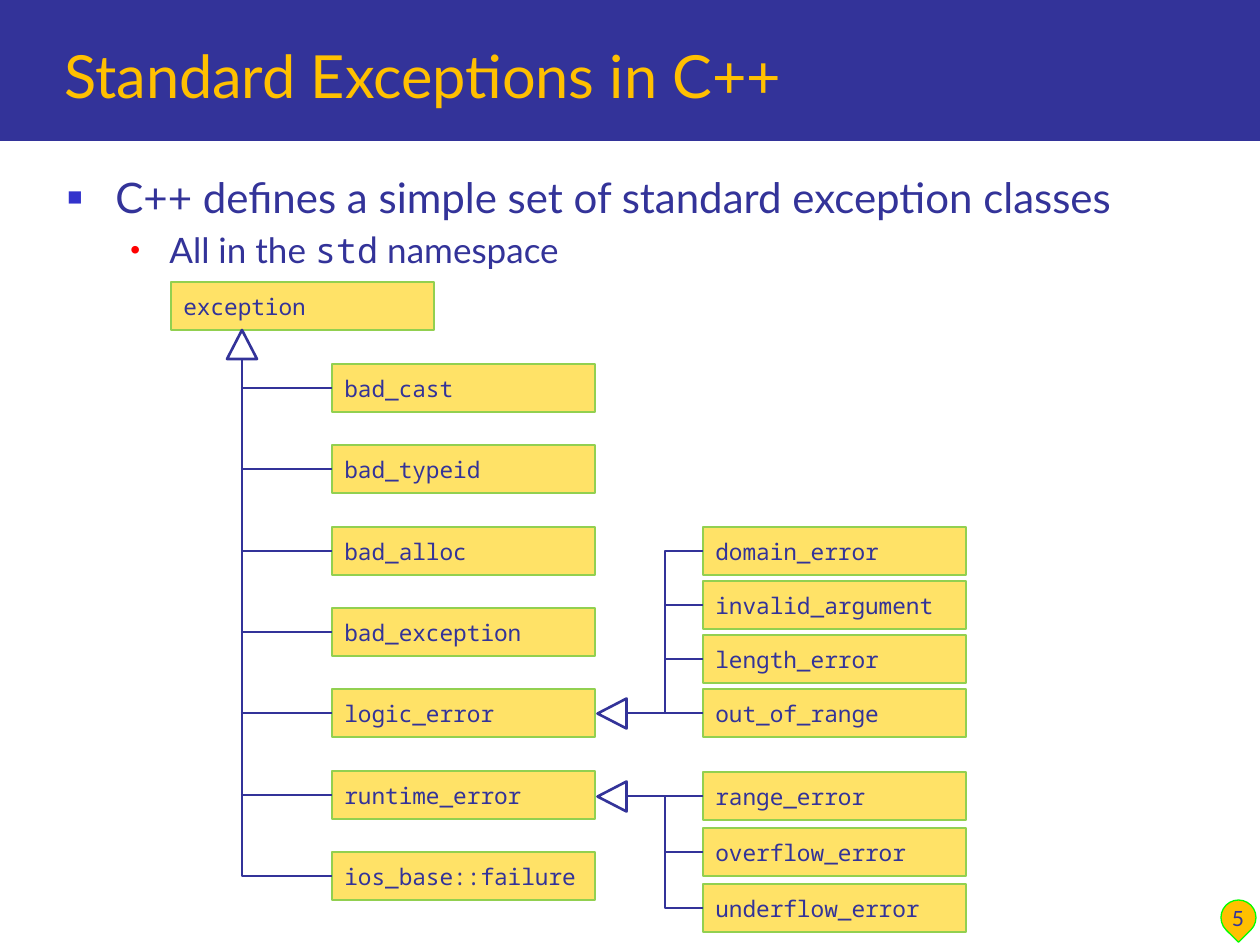
"""Build the slide on the standard exception classes of C++."""
import pptx
import pptx.util
import pptx.dml.color
import pptx.enum.shapes
import pptx.enum.text
import pptx.oxml.ns
from lxml import etree

TITLE = "Standard Exceptions in C++"
BODY = [
    dict(runs=[("C++ defines a simple set of standard exception classes", "Lato")],
         size=24, gap=0, left=48, hang=48, mark="■", tint="3333CC", scale=60),
    dict(runs=[("All in the ", "Lato"), ("std", "Noto Sans Mono"), (" namespace", "Lato")],
         size=20, gap=4, left=102, hang=39, mark="•", tint="FF0000", scale=80),
]
ROOT = "exception"
KIDS = ["bad_cast", "bad_typeid", "bad_alloc", "bad_exception",
        "logic_error", "runtime_error", "ios_base::failure"]
GROUPS = [
    dict(names=["domain_error", "invalid_argument", "length_error", "out_of_range"],
         top=527, step=54, hub=3),
    dict(names=["range_error", "overflow_error", "underflow_error"],
         top=772, step=56, hub=0),
]
PAGE = "5"

INK, GOLD, SAND, LEAF = "333399", "FFC000", "FFE267", "92D050"
WIDE, HIGH = 263, 48
SHAPE = pptx.enum.shapes.MSO_SHAPE
LINK = pptx.enum.shapes.MSO_CONNECTOR
ALIGN = pptx.enum.text.PP_ALIGN
ANCHOR = pptx.enum.text.MSO_ANCHOR
QN = pptx.oxml.ns.qn


def px(*nums):
    return [pptx.util.Emu(round(n * 914400 / 126)) for n in nums]


def color(code):
    return pptx.dml.color.RGBColor.from_string(code)


def apply(obj, form):
    for key, val in form.items():
        setattr(obj, key, val)


def write(para, text, size, font="Lato", ink=INK):
    run = para.add_run()
    run.text = text
    apply(run.font, dict(name=font, size=pptx.util.Pt(size)))
    run.font.color.rgb = color(ink)


def stroke(line, ink, width):
    line.color.rgb = color(ink)
    line.width = pptx.util.Pt(width)


def draw(kind, spot, fill, edge=None, width=1.5, turn=0):
    shape = slide.shapes.add_shape(kind, *px(*spot))
    shape.shadow.inherit = False
    shape.rotation = turn
    shape.fill.solid()
    shape.fill.fore_color.rgb = color(fill)
    if edge:
        stroke(shape.line, edge, width)
    else:
        shape.line.fill.background()
    return shape


def area(spot, anchor):
    frame = slide.shapes.add_textbox(*px(*spot)).text_frame
    apply(frame, dict(word_wrap=True, vertical_anchor=anchor))
    return frame


def box(name, left, top):
    shape = draw(SHAPE.RECTANGLE, (left, top, WIDE, HIGH), SAND, LEAF)
    frame = shape.text_frame
    apply(frame, dict(word_wrap=True, vertical_anchor=ANCHOR.MIDDLE))
    para = frame.paragraphs[0]
    para.alignment = ALIGN.LEFT
    write(para, name, 13, "Noto Sans Mono")


def join(start, end, bend=50000):
    kind = LINK.STRAIGHT if start[1] == end[1] else LINK.ELBOW
    line = slide.shapes.add_connector(kind, *px(*start, *end))
    stroke(line.line, INK, 1.5)
    props = line._element.spPr
    etree.SubElement(props, QN("a:effectLst"))
    if kind == LINK.ELBOW:
        guides = props.find(".//" + QN("a:avLst"))
        etree.SubElement(guides, QN("a:gd"), name="adj1", fmla=f"val {bend}")


def bullet(para, item):
    props = para._p.get_or_add_pPr()
    left, hang = px(item["left"], item["hang"])
    props.set("marL", str(left))
    props.set("indent", str(-hang))
    tint = etree.SubElement(props, QN("a:buClr"))
    etree.SubElement(tint, QN("a:srgbClr"), val=item["tint"])
    etree.SubElement(props, QN("a:buSzPct"), val=str(item["scale"] * 1000))
    etree.SubElement(props, QN("a:buFont"), typeface="Arial")
    etree.SubElement(props, QN("a:buChar"), char=item["mark"])


deck = pptx.Presentation()
deck.slide_width, deck.slide_height = px(1260, 945)
slide = deck.slides.add_slide(deck.slide_layouts[6])

draw(SHAPE.RECTANGLE, (0, 0, 1260, 141), INK)
draw(SHAPE.TEAR, (1221, 900, 35, 35), GOLD, "00FF00", 0.75, 135)
write(area((52, 21, 1178, 96), ANCHOR.BOTTOM).paragraphs[0], TITLE, 34, ink=GOLD)

body = area((55, 165, 1169, 680), ANCHOR.TOP)
for num, item in enumerate(BODY):
    para = body.add_paragraph() if num else body.paragraphs[0]
    para.space_before = pptx.util.Pt(item["gap"])
    bullet(para, item)
    for text, font in item["runs"]:
        write(para, text, item["size"], font)

para = area((1202, 874, 72, 63), ANCHOR.BOTTOM).paragraphs[0]
para.alignment = ALIGN.CENTER
write(para, PAGE, 12)

box(ROOT, 171, 282)
last = 330
for num, name in enumerate(KIDS):
    top = round(364 + num * 244 / 3)
    mid = top + HIGH // 2
    box(name, 332, top)
    join((241, last), (332, mid), 1200)
    last = mid
draw(SHAPE.ISOSCELES_TRIANGLE, (227, 330, 30, 29), "FFFFFF", INK)

for group in GROUPS:
    base = group["top"] + HIGH // 2
    hub = base + group["hub"] * group["step"]
    for num, name in enumerate(group["names"]):
        shift = num * group["step"]
        box(name, 703, group["top"] + shift)
        join((627, hub), (703, base + shift))
    draw(SHAPE.ISOSCELES_TRIANGLE, (597, hub - 14, 30, 29), "FFFFFF", INK, turn=270)

deck.save("out.pptx")
